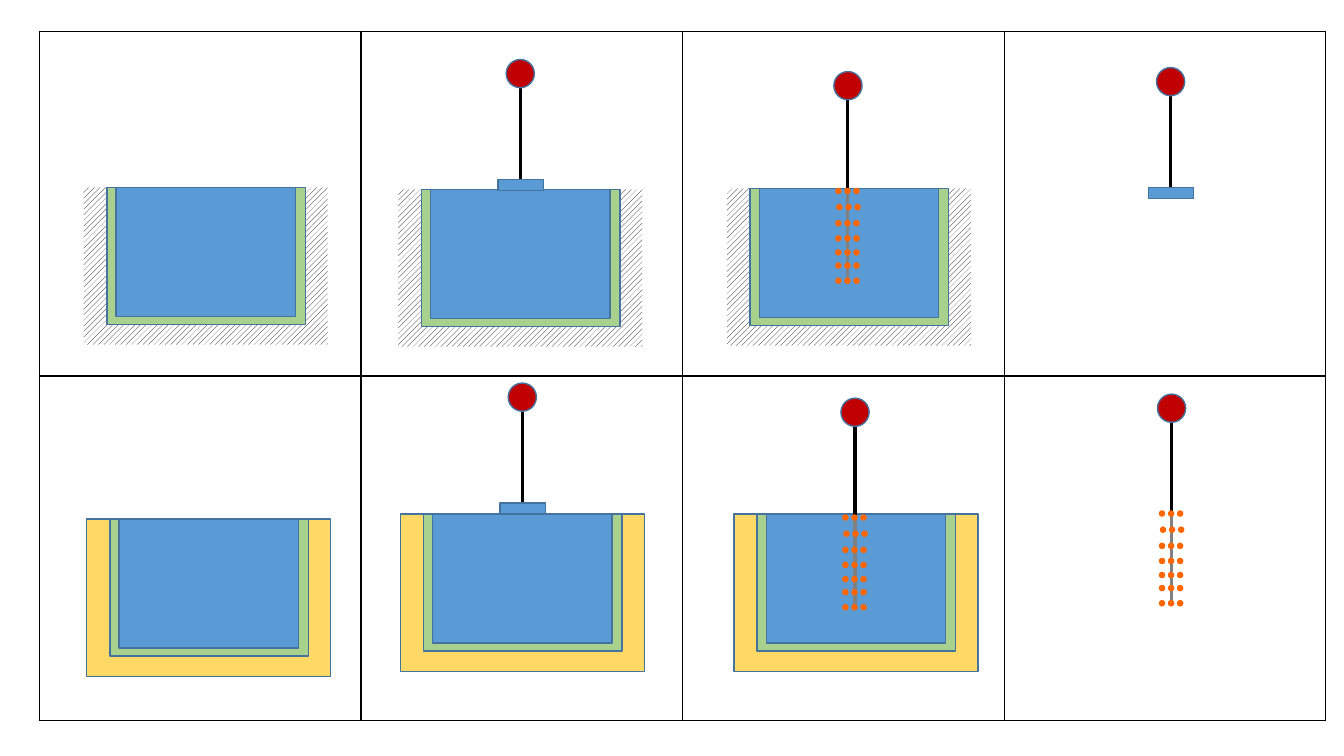
from lxml.etree import SubElement
from pptx import Presentation
from pptx.dml.color import RGBColor
from pptx.enum.dml import MSO_PATTERN
from pptx.enum.shapes import MSO_CONNECTOR, MSO_SHAPE as Preset
from pptx.oxml import parse_xml
from pptx.oxml.ns import nsdecls, qn
from pptx.util import Inches, Pt

GRID_LEFT, GRID_TOP = 0.39, 0.31
CELL_WIDTH, CELL_HEIGHT = 3.19, 3.42
COLUMNS, ROWS = 4, 2

OUTLINE = "43739E"
HATCH = "hatch"
# Each part: preset (None for a line), width, height, fill, line colour, line width
PARTS = {
    "soil": (Preset.RECTANGLE, 2.42, 1.56, HATCH, None, 0),
    "sand": (Preset.RECTANGLE, 2.42, 1.56, "FFD966", OUTLINE, 1),
    "wall": (Preset.RECTANGLE, 1.97, 1.36, "A9D18E", OUTLINE, 1),
    "water": (Preset.RECTANGLE, 1.78, 1.28, "5B9BD5", OUTLINE, 1),
    "rod": (None, 0, 0.91, None, "000000", 2.25),
    "buried rod": (None, 0, 0.91, None, "808080", 2.25),
    "ball": (Preset.OVAL, 0.28, 0.28, "C00000", OUTLINE, 1),
    "plate": (Preset.RECTANGLE, 0.45, 0.11, "5B9BD5", OUTLINE, 1),
    "dot": (Preset.OVAL, 0.05, 0.05, "FF6600", "FF6600", 1),
}

# Position of each basin and probe inside its (column, row) cell
BASINS = {
    (0, 0): ("soil", 0.44, 1.55),
    (1, 0): ("soil", 0.37, 1.57),
    (2, 0): ("soil", 0.44, 1.56),
    (0, 1): ("sand", 0.47, 1.42),
    (1, 1): ("sand", 0.39, 1.37),
    (2, 1): ("sand", 0.51, 1.37),
}
PROBES = {
    (1, 0): ("plate", 1.58, 0.28),
    (2, 0): ("dots", 1.64, 0.40),
    (3, 0): ("plate", 1.65, 0.36),
    (1, 1): ("plate", 1.60, 0.07),
    (2, 1): ("dots", 1.71, 0.22),
    (3, 1): ("dots", 1.66, 0.18),
}
DOT_ROWS = (0, 0.16, 0.32, 0.47, 0.61, 0.74, 0.89)
DOT_STEP = 0.09


def paint(fill, colour):
    """Fill with a hex colour, the hatch pattern, or nothing for None."""
    if colour is None:
        fill.background()
    elif colour == HATCH:
        fill.patterned()
        fill.pattern = MSO_PATTERN.WIDE_UPWARD_DIAGONAL
        fill.fore_color.rgb = RGBColor.from_string("000000")
        fill.back_color.rgb = RGBColor.from_string("FFFFFF")
    else:
        fill.solid()
        fill.fore_color.rgb = RGBColor.from_string(colour)


def draw(shapes, part, left, top):
    preset, width, height, fill, line_colour, line_width = PARTS[part]
    if preset is None:
        shape = shapes.add_connector(
            MSO_CONNECTOR.STRAIGHT, Inches(left), Inches(top),
            Inches(left + width), Inches(top + height))
    else:
        shape = shapes.add_shape(
            preset, Inches(left), Inches(top), Inches(width), Inches(height))
        paint(shape.fill, fill)
    paint(shape.line.fill, line_colour)
    if line_colour:
        shape.line.width = Pt(line_width)
    if preset is None:
        SubElement(shape._element.spPr, qn("a:effectLst"))
    else:
        shape.shadow.inherit = False


presentation = Presentation()
presentation.slide_width, presentation.slide_height = Inches(13.33), Inches(7.5)
slide = presentation.slides.add_slide(presentation.slide_layouts[6])

table = slide.shapes.add_table(
    ROWS, COLUMNS, Inches(GRID_LEFT), Inches(GRID_TOP),
    Inches(COLUMNS * CELL_WIDTH), Inches(ROWS * CELL_HEIGHT)).table
for name, value in {"first_row": False, "horz_banding": False}.items():
    setattr(table, name, value)
for cell in table.iter_cells():
    paint(cell.fill, None)
    properties = cell._tc.get_or_add_tcPr()
    for index, side in enumerate(("lnL", "lnR", "lnT", "lnB")):
        properties.insert(index, parse_xml(
            f'<a:{side} {nsdecls("a")} w="{Pt(1)}"><a:solidFill>'
            f'<a:srgbClr val="000000"/></a:solidFill></a:{side}>'))

for row in range(ROWS):
    for column in range(COLUMNS):
        cell_left = GRID_LEFT + column * CELL_WIDTH
        cell_top = GRID_TOP + row * CELL_HEIGHT
        shapes = slide.shapes.add_group_shape().shapes

        if (column, row) in BASINS:
            ground, left, top = BASINS[column, row]
            for part, inset in ((ground, 0), ("wall", 0.23), ("water", 0.32)):
                draw(shapes, part, cell_left + left + inset, cell_top + top)

        if (column, row) in PROBES:
            foot, axis, top = PROBES[column, row]
            axis += cell_left
            top += cell_top
            draw(shapes, "rod", axis, top + 0.28)
            draw(shapes, "ball", axis - 0.14, top)
            if foot == "plate":
                draw(shapes, "plate", axis - 0.22, top + 1.19)
            else:
                draw(shapes, "buried rod", axis, top + 1.17)
                for dot_row, drop in enumerate(DOT_ROWS):
                    shift = 0.01 if dot_row == 1 else 0
                    for step in (-1, 0, 1):
                        draw(shapes, "dot", axis - 0.03 + shift + step * DOT_STEP,
                             top + 1.16 + drop)

presentation.save("out.pptx")
